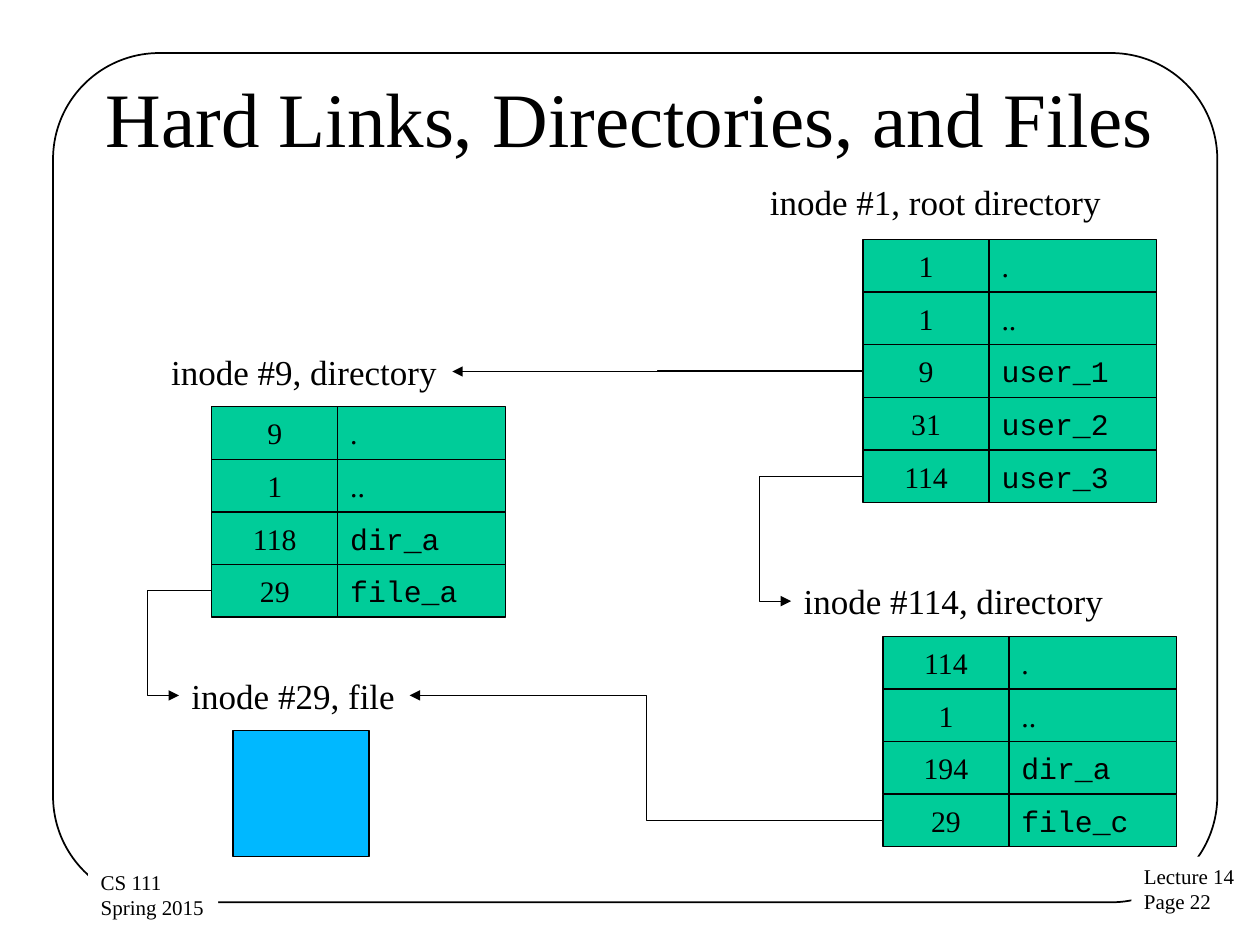
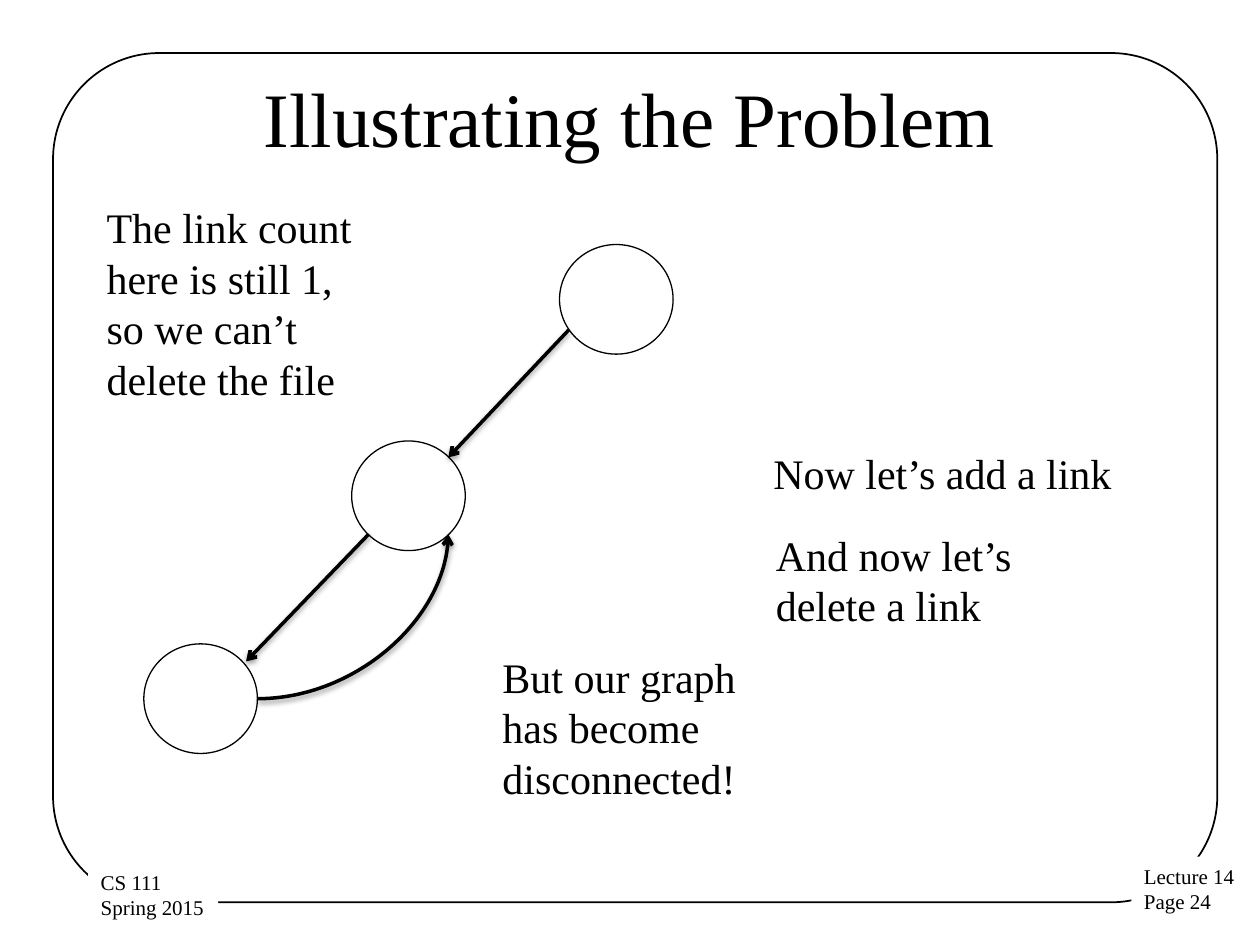
from lxml.etree import SubElement as Sub
from pptx import Presentation
from pptx.dml.color import RGBColor
from pptx.enum.shapes import MSO_CONNECTOR as Link, MSO_SHAPE as Kind
from pptx.enum.text import MSO_ANCHOR as Anchor, MSO_AUTO_SIZE as Auto, PP_ALIGN as Align
from pptx.oxml.ns import qn
from pptx.util import Cm, Pt

INK, PAPER, GREEN, BLUE = "000000", "FFFFFF", "00CC99", "00B8FF"
SERIF, MONO = "Times New Roman", "Courier New"
INSET = dict(margin_left=Cm(0.25), margin_right=Cm(0.25),
             margin_top=Cm(0.13), margin_bottom=Cm(0.13))
GROW = dict(INSET, auto_size=Auto.SHAPE_TO_FIT_TEXT)
ROW, NUM, NAME = 1.06, 2.54, 3.38
NODE = (2.29, 2.21)


def tint(code):
    return RGBColor.from_string(code)


def put(obj, vals):
    for key, val in vals.items():
        setattr(obj, key, val)


def write(frame, lines, size, font=SERIF, align=Align.LEFT, **vals):
    put(frame, vals)
    frame.text = "\n".join(lines)
    for para in frame.paragraphs:
        para.alignment = align
        put(para.font, dict(size=Pt(size), name=font))
        para.font.color.rgb = tint(INK)


def shape(slide, kind, box, fill=None, line=None):
    item = slide.shapes.add_shape(kind, *map(Cm, box))
    item.shadow.inherit = False
    if fill:
        item.fill.solid()
        item.fill.fore_color.rgb = tint(fill)
    else:
        item.fill.background()
    if line:
        item.line.color.rgb = tint(INK)
        item.line.width = Pt(line)
    else:
        item.line.fill.background()
    return item


def note(slide, box, text, size=24, wrap=True):
    item = slide.shapes.add_textbox(*map(Cm, box))
    write(item.text_frame, [text], size, word_wrap=wrap, **GROW)


def arrow(slide, kind, start, end, width, head, preset=None, bend=None, shade=False):
    item = slide.shapes.add_connector(kind, *map(Cm, (*start, *end)))
    item.line.color.rgb = tint(INK)
    item.line.width = Pt(width)
    props = item.element.spPr
    Sub(props.find(qn("a:ln")), qn("a:tailEnd"), type=head)
    geom = props.find(qn("a:prstGeom"))
    if preset:
        geom.set("prst", preset)
    if bend is not None:
        guides = geom.find(qn("a:avLst"))
        if guides is None:
            guides = Sub(geom, qn("a:avLst"))
        Sub(guides, qn("a:gd"), name="adj1", fmla=f"val {round(bend * 100000)}")
    effects = Sub(props, qn("a:effectLst"))
    if shade:
        cast = Sub(effects, qn("a:outerShdw"), blurRad="40000", dist="20000",
                   dir="5400000", rotWithShape="0")
        Sub(Sub(cast, qn("a:srgbClr"), val=INK), qn("a:alpha"), val="38000")


def base(deck, title, page):
    slide = deck.slides.add_slide(deck.slide_layouts[5])
    frame = shape(slide, Kind.ROUNDED_RECTANGLE, (1.07, 1.07, 23.47, 17.12), line=1)
    frame.adjustments[0] = 0.125
    for box, lines in (
        ((22.81, 17.27, 2.36, 1.3), ("Lecture 14", f"Page {page}")),
        ((1.78, 17.4, 2.62, 1.3), ("CS 111", "Spring 2015 ")),
    ):
        item = shape(slide, Kind.RECTANGLE, box, PAPER)
        write(item.text_frame, lines, 12, word_wrap=False,
              vertical_anchor=Anchor.TOP, **GROW)
    head = slide.shapes.title
    put(head, dict(zip(("left", "top", "width", "height"),
                       map(Cm, (1.27, 0.76, 22.86, 3.18)))))
    write(head.text_frame, [title], 44, align=Align.CENTER,
          vertical_anchor=Anchor.MIDDLE, auto_size=Auto.NONE)
    return slide


def listing(slide, left, top, rows):
    for i, (num, name) in enumerate(rows):
        font = SERIF if name.startswith(".") else MONO
        y = top + i * ROW
        for x, wide, text, face, align in (
            (left, NUM, num, SERIF, Align.CENTER),
            (left + NUM, NAME, name, font, Align.LEFT),
        ):
            cell = shape(slide, Kind.RECTANGLE, (x, y, wide, ROW), GREEN, 0.75)
            write(cell.text_frame, [text], 17, face, align, word_wrap=False,
                  vertical_anchor=Anchor.MIDDLE, **INSET)
    return [(left, top + (i + 0.5) * ROW) for i in range(len(rows))]


def label(slide, left, top, wide, text):
    high = 1.12
    note(slide, (left, top, wide, high), text, 20, False)
    mid = top + high / 2
    return (left, mid), (left + wide, mid)


def inodes(deck):
    slide = base(deck, "Hard Links, Directories, and Files", 22)
    label(slide, 15.27, 3.5, 7.24, "inode #1, root directory")
    root = listing(slide, 17.4, 4.83, (
        ("1", "."), ("1", ".."), ("9", "user_1"), ("31", "user_2"), ("114", "user_3")))
    nine = label(slide, 3.2, 6.93, 5.92, "inode #9, directory")
    first = listing(slide, 4.27, 8.2, (
        ("9", "."), ("1", ".."), ("118", "dir_a"), ("29", "file_a")))
    third = label(slide, 15.95, 11.56, 6.6, "inode #114, directory")
    last = listing(slide, 17.8, 12.83, (
        ("114", "."), ("1", ".."), ("194", "dir_a"), ("29", "file_c")))
    file = label(slide, 3.61, 13.46, 4.65, "inode #29, file")
    shape(slide, Kind.RECTANGLE, (4.7, 14.73, 2.74, 2.54), BLUE, 0.75)
    for start, end, bend in (
        (root[2], nine[1], 0.5),
        (root[4], third[0], 1.44),
        (first[3], file[0], 1.97),
        (last[3], file[1], 0.5),
    ):
        arrow(slide, Link.ELBOW, start, end, 0.75, "triangle", bend=bend)


def spot(node, across, down):
    return node[0] + across * NODE[0], node[1] + down * NODE[1]


def graph(deck):
    slide = base(deck, "Illustrating the Problem", 24)
    nodes = top, mid, low = (11.28, 4.93), (7.09, 8.89), (2.9, 12.98)
    for node in nodes:
        shape(slide, Kind.OVAL, (*node, *NODE), PAPER, 0.75)
    for kind, start, end, preset in (
        (Link.STRAIGHT, spot(top, 0.08, 0.78), spot(mid, 0.85, 0.15), None),
        (Link.STRAIGHT, spot(mid, 0.15, 0.85), spot(low, 0.9, 0.16), None),
        (Link.CURVE, spot(low, 1, 0.5), spot(mid, 0.85, 0.85), "curvedConnector2"),
    ):
        arrow(slide, kind, start, end, 2, "arrow", preset, shade=True)
    note(slide, (15.34, 8.89, 7.44, 1.27), "Now let’s add a link", wrap=False)
    for box, text in (
        ((15.39, 10.54, 7.37, 2.31), "And now let’s delete a link"),
        ((1.9, 3.94, 5.51, 4.37),
         "The link count here is still 1, so we can’t delete the file"),
        ((9.88, 13, 5.51, 3.33), "But our graph has become disconnected!"),
    ):
        note(slide, box, text)


deck = Presentation()
put(deck, dict(slide_width=Cm(25.4), slide_height=Cm(19.05)))
inodes(deck)
graph(deck)
deck.save("out.pptx")
